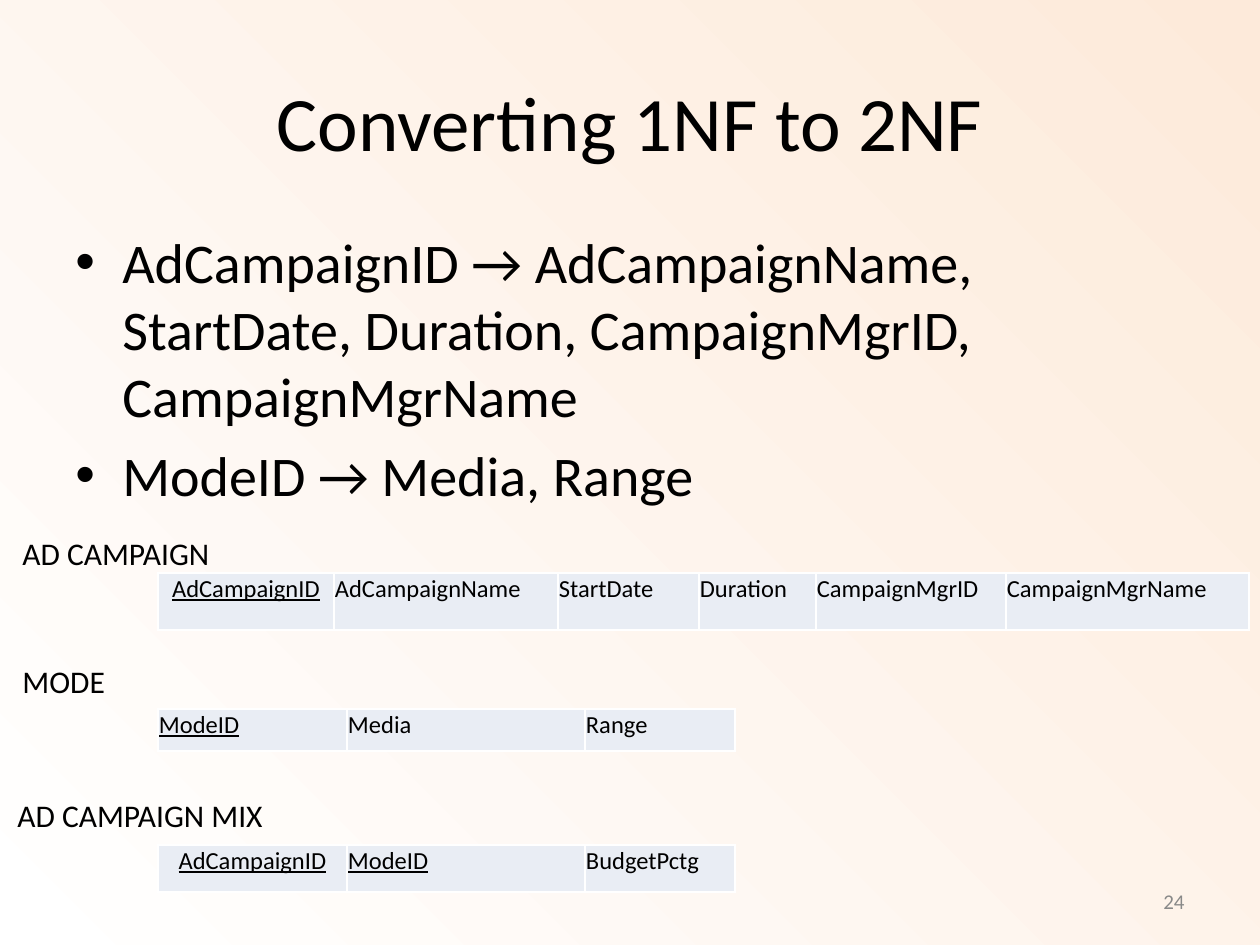
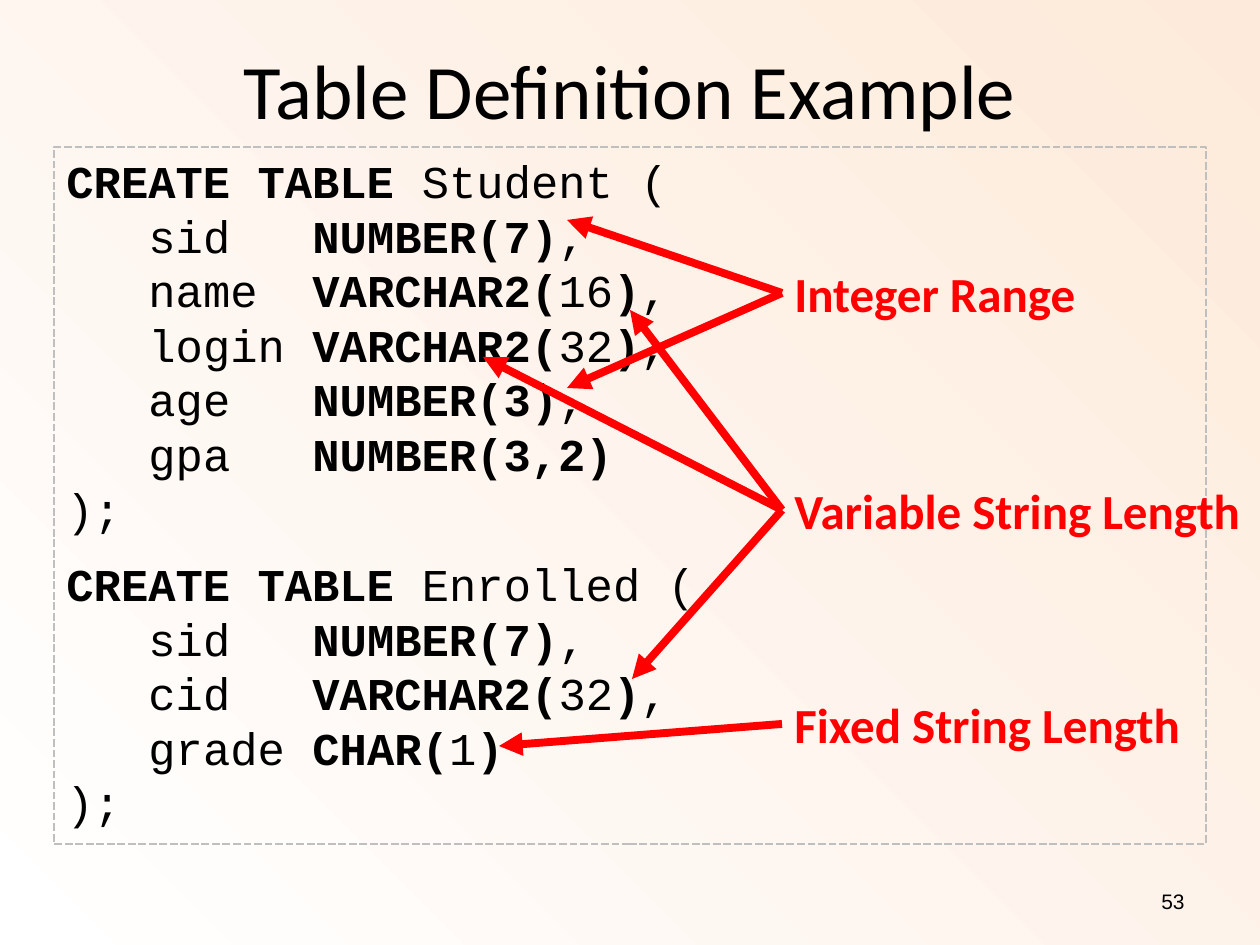
from dataclasses import dataclass
from lxml.etree import SubElement
from pptx import Presentation
from pptx.dml.color import RGBColor
from pptx.enum.dml import MSO_LINE
from pptx.enum.shapes import MSO_CONNECTOR, MSO_SHAPE
from pptx.enum.text import MSO_ANCHOR, MSO_AUTO_SIZE, PP_ALIGN
from pptx.oxml.ns import qn
from pptx.util import Pt

PX = 914400 / 126


@dataclass(frozen=True)
class Theme:
    ink: str = "000000"
    muted: str = "898989"
    accent: str = "FF0000"
    frame: str = "BFBFBF"
    cell: str = "E9EDF4"
    rule: str = "FFFFFF"
    glow: tuple = ("FFFFFF", "FDEADA")
    sans: str = "Calibri"
    number_sans: str = "Arial"
    mono: str = "Courier New"
    title: int = 44
    body: int = 32
    callout: int = 28
    code: int = 26
    label: int = 18
    field: int = 14
    number: int = 12


@dataclass(frozen=True)
class Box:
    left: int
    top: int
    width: int
    height: int

    def inner(self, dx, dy, width, height):
        return Box(self.left + dx, self.top + dy, width, height)

    def emu(self):
        return [px(n) for n in (self.left, self.top, self.width, self.height)]


THEME = Theme()
PAGE = Box(0, 0, 1260, 945)

DEPENDENCIES = [
    "AdCampaignID → AdCampaignName, StartDate, Duration, CampaignMgrID, CampaignMgrName",
    "ModeID → Media, Range",
]
RELATIONS = [
    ("AD CAMPAIGN", Box(10, 0, 214, 50), 57, (176, 224, 141, 117, 190, 243), 1,
     ("AdCampaignID", "AdCampaignName", "StartDate", "Duration",
      "CampaignMgrID", "CampaignMgrName")),
    ("MODE", Box(10, 128, 108, 50), 42, (189, 238, 150), 1,
     ("ModeID", "Media", "Range")),
    ("AD CAMPAIGN MIX", Box(5, 262, 273, 50), 47, (189, 238, 150), 2,
     ("AdCampaignID", "ModeID", "BudgetPctg")),
]
STATEMENTS = [
    ["**CREATE TABLE** Student (", "\tsid\t**NUMBER(7)**,",
     "\tname\t**VARCHAR2(**16**)**,", "\tlogin\t**VARCHAR2(**32**)**,",
     "\tage\t**NUMBER(3)**,", "\tgpa\t**NUMBER(3,2)**", ");"],
    ["**CREATE TABLE** Enrolled (", "\tsid\t**NUMBER(7)**,",
     "\tcid\t**VARCHAR2(**32**)**,", "\tgrade\t**CHAR(**1**)**", ");"],
]
CALLOUTS = [
    ("Integer Range", 0, 310, [(-215, -37), (-215, 131)]),
    ("Variable String Length", 217, 476, [(-150, 422), (-152, 53), (-299, 100)]),
    ("Fixed String Length", 431, 416, [(-283, 489)]),
]


def px(length):
    return round(length * PX)


def apply(target, formats):
    for attribute, value in formats.items():
        setattr(target, attribute, value)


def write(paragraph, text, size, color=THEME.ink, font=THEME.sans, **formats):
    run = paragraph.add_run()
    run.text = text
    apply(run.font, {"name": font, "size": Pt(size), **formats})
    run.font.color.rgb = RGBColor.from_string(color)


def text_frame(slide, box, **formats):
    frame = slide.shapes.add_textbox(*box.emu()).text_frame
    apply(frame, {"word_wrap": True, **formats})
    return frame


def tag(slide, box, text, size, **formats):
    frame = text_frame(slide, box, word_wrap=False,
                       auto_size=MSO_AUTO_SIZE.SHAPE_TO_FIT_TEXT)
    write(frame.paragraphs[0], text, size, **formats)


def paint_background(master):
    fill = master.background.fill
    fill.gradient()
    for stop, color, position in zip(fill.gradient_stops, THEME.glow, (0, 1)):
        stop.color.rgb = RGBColor.from_string(color)
        stop.position = position
    gradient = master._element.find(".//" + qn("a:gradFill"))
    for linear in gradient.findall(qn("a:lin")):
        gradient.remove(linear)
    corner = SubElement(gradient, qn("a:path"), {"path": "circle"})
    SubElement(corner, qn("a:fillToRect"), {"t": "100000", "r": "100000"})


def titled_slide(deck, heading, title_box, number, **number_format):
    slide = deck.slides.add_slide(deck.slide_layouts[5])
    title = slide.shapes.title
    apply(title, dict(zip(("left", "top", "width", "height"), title_box.emu())))
    title.text_frame.vertical_anchor = MSO_ANCHOR.MIDDLE
    title_line = title.text_frame.paragraphs[0]
    title_line.alignment = PP_ALIGN.CENTER
    write(title_line, heading, THEME.title)
    footer = text_frame(slide, PAGE.inner(903, 876, 294, 50),
                        vertical_anchor=MSO_ANCHOR.MIDDLE)
    footer.paragraphs[0].alignment = PP_ALIGN.RIGHT
    write(footer.paragraphs[0], number, THEME.number, **number_format)
    return slide


def bullet_list(slide, box, items):
    frame = text_frame(slide, box)
    for index, item in enumerate(items):
        paragraph = frame.add_paragraph() if index else frame.paragraphs[0]
        paragraph.space_before = Pt(6.4)
        write(paragraph, item, THEME.body)
        properties = paragraph._p.get_or_add_pPr()
        apply_indent = {"marL": px(47), "indent": -px(47)}
        for attribute, value in apply_indent.items():
            properties.set(attribute, str(value))
        SubElement(properties, qn("a:buFont"), {"typeface": THEME.number_sans})
        SubElement(properties, qn("a:buChar"), {"char": "•"})


def border_cell(cell):
    properties = cell._tc.get_or_add_tcPr()
    for side in ("a:lnL", "a:lnR", "a:lnT", "a:lnB"):
        edge = SubElement(properties, qn(side), {"w": str(Pt(1))})
        solid = SubElement(edge, qn("a:solidFill"))
        SubElement(solid, qn("a:srgbClr"), {"val": THEME.rule})


def relation_table(slide, box, widths, key_count, fields):
    table = slide.shapes.add_table(1, len(fields), *box.emu()).table
    apply(table, {"first_row": False, "horz_banding": False})
    table.rows[0].height = px(box.height)
    for index, (width, field) in enumerate(zip(widths, fields)):
        table.columns[index].width = px(width)
        cell = table.cell(0, index)
        apply(cell, {"margin_left": px(1), "margin_right": px(1),
                     "margin_top": px(1), "margin_bottom": 0})
        border_cell(cell)
        cell.fill.solid()
        cell.fill.fore_color.rgb = RGBColor.from_string(THEME.cell)
        paragraph = cell.text_frame.paragraphs[0]
        if field == "AdCampaignID":
            paragraph.alignment = PP_ALIGN.CENTER
        write(paragraph, field, THEME.field, underline=index < key_count)


def relations(slide, box):
    for index, (name, label, height, widths, key_count, fields) in enumerate(RELATIONS):
        tag(slide, box.inner(label.left, label.top, label.width, label.height),
            name, THEME.label)
        table_box = box.inner(158, 45 + 136 * index, sum(widths), height)
        relation_table(slide, table_box, widths, key_count, fields)


def code_panel(slide, box):
    panel = slide.shapes.add_shape(MSO_SHAPE.RECTANGLE, *box.emu())
    panel.shadow.inherit = False
    panel.fill.background()
    panel.line.color.rgb = RGBColor.from_string(THEME.frame)
    apply(panel.line, {"width": Pt(1.5), "dash_style": MSO_LINE.SQUARE_DOT})
    frame = panel.text_frame
    apply(frame, {"word_wrap": True, "vertical_anchor": MSO_ANCHOR.TOP})
    lines = [(line, number > 0 and row == 0)
             for number, statement in enumerate(STATEMENTS)
             for row, line in enumerate(statement)]
    for index, (line, opens_next) in enumerate(lines):
        paragraph = frame.add_paragraph() if index else frame.paragraphs[0]
        apply(paragraph, {"alignment": PP_ALIGN.LEFT,
                          "space_before": Pt(12 if opens_next else 0)})
        stops = SubElement(paragraph._p.get_or_add_pPr(), qn("a:tabLst"))
        for stop in (82, 246):
            SubElement(stops, qn("a:tab"), {"pos": str(px(stop)), "algn": "l"})
        for part, text in enumerate(line.split("**")):
            if text:
                write(paragraph, text, THEME.code, font=THEME.mono, bold=part % 2 == 1)


def arrow(slide, start, end):
    pointer = slide.shapes.add_connector(
        MSO_CONNECTOR.STRAIGHT, *[px(n) for n in (*start, *end)])
    pointer.line.color.rgb = RGBColor.from_string(THEME.accent)
    pointer.line.width = Pt(4.5)
    properties = pointer._element.spPr
    SubElement(properties.find(qn("a:ln")), qn("a:tailEnd"), {"type": "triangle"})
    SubElement(properties, qn("a:effectLst"))


def callouts(slide, box):
    for text, top, width, targets in CALLOUTS:
        label = box.inner(0, top, width, 72)
        tag(slide, label, text, THEME.callout, color=THEME.accent, bold=True)
        for dx, dy in targets:
            arrow(slide, (label.left, label.top + label.height // 2),
                  (box.left + dx, box.top + dy))


def normal_form_slide(deck):
    slide = titled_slide(deck, "Converting 1NF to 2NF", PAGE.inner(63, 42, 1134, 158),
                         "24", color=THEME.muted)
    bullet_list(slide, PAGE.inner(63, 221, 1134, 624), DEPENDENCIES)
    relations(slide, PAGE.inner(0, 528, 1260, 364))


def table_definition_slide(deck):
    slide = titled_slide(deck, "Table Definition Example", PAGE.inner(63, 10, 1134, 158),
                         "53", font=THEME.number_sans)
    code_panel(slide, PAGE.inner(54, 147, 1152, 697))
    callouts(slide, PAGE.inner(782, 257, 476, 503))


def main():
    deck = Presentation()
    apply(deck, {"slide_width": px(PAGE.width), "slide_height": px(PAGE.height)})
    paint_background(deck.slide_master)
    normal_form_slide(deck)
    table_definition_slide(deck)
    deck.save("out.pptx")


if __name__ == "__main__":
    main()
